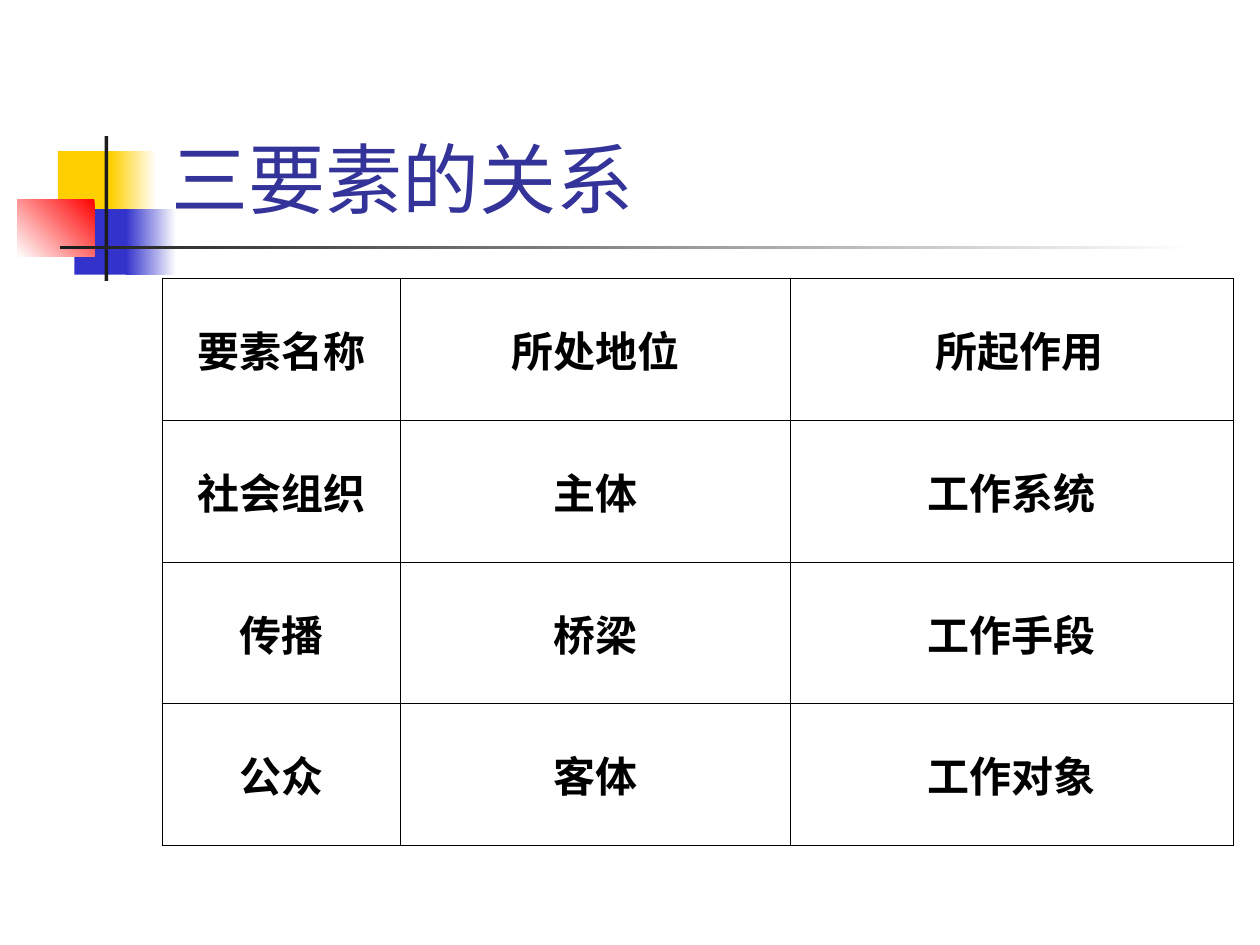
from lxml import etree
from pptx import Presentation, util as u
from pptx.dml.color import RGBColor
from pptx.enum import shapes, text
from pptx.oxml.ns import qn

TITLE = "三要素的关系"
ROWS = [
    ("要素名称", "所处地位", "所起作用"),
    ("社会组织", "主体", "工作系统"),
    ("传播", "桥梁", "工作手段"),
    ("公众", "客体", "工作对象"),
]
COLS = [1.89, 3.09, 3.52]
HIGH = 4.5
LATIN = {(0, 1), (2, 0), (2, 1 - 1)}
SHIFT = {(0, 2): 0.23}
THEME = {
    "title": {"size": u.Pt(44), "name": "Karla", "bold": False},
    "cell": {"size": u.Pt(24), "name": "Times New Roman", "bold": True},
    "ink": "333399", "text": "000000", "thin": 0.45, "thick": 1.08,
    "gold": "FFCF01", "blue": "3333CC", "red": "FF0000",
    "dark": "1C1C1C", "white": "FFFFFF",
}
DECOR = [
    ((0.46, 1.2, 0.48, 0.52), ["gold"], 0),
    ((0.88, 1.2, 0.36, 0.52), ["white", "gold"], 180),
    ((0.59, 1.66, 0.46, 0.52), ["blue"], 0),
    ((1, 1.66, 0.4, 0.52), ["white", "blue"], 180),
    ((0.14, 1.58, 0.61, 0.46), ["red", "white"], 225),
    ((0.83, 1.08, 0.03, 1.15), ["dark"], 0),
    ((0.48, 1.95, 9, 0.03), ["white", "dark"], 180),
]


def color(key):
    return RGBColor.from_string(THEME[key])


def style(font, kind, ink):
    for name, value in THEME[kind].items():
        setattr(font, name, value)
    font.color.rgb = color(ink)


def block(slide, box, tones, angle):
    rect = slide.shapes.add_shape(
        shapes.MSO_SHAPE.RECTANGLE, *map(u.Inches, box))
    rect.shadow.inherit = False
    rect.line.fill.background()
    if len(tones) == 1:
        rect.fill.solid()
        rect.fill.fore_color.rgb = color(tones[0])
        return
    rect.fill.gradient()
    rect.fill.gradient_angle = angle
    for stop, tone in zip(rect.fill.gradient_stops, tones):
        stop.color.rgb = color(tone)


def border(cell, row, col):
    outer = {"L": col == 0, "R": col == len(COLS) - 1,
             "T": row == 0, "B": row == len(ROWS) - 1}
    props = cell._tc.get_or_add_tcPr()
    for spot, (side, edge) in enumerate(outer.items()):
        width = u.Pt(THEME["thick" if edge else "thin"])
        line = etree.Element(qn("a:ln" + side), w=str(int(width)))
        fill = etree.SubElement(line, qn("a:solidFill"))
        etree.SubElement(fill, qn("a:srgbClr"), val=THEME["text"])
        props.insert(spot, line)


def grid(slide):
    frame = slide.shapes.add_table(
        len(ROWS), len(COLS), u.Inches(1.29), u.Inches(2.21),
        u.Inches(sum(COLS)), u.Inches(HIGH))
    table = frame.table
    table.first_row = table.horz_banding = False
    for col, width in zip(table.columns, COLS):
        col.width = u.Inches(width)
    for r, words in enumerate(ROWS):
        for c, word in enumerate(words):
            cell = table.cell(r, c)
            cell.text = word
            cell.fill.background()
            cell.vertical_anchor = text.MSO_ANCHOR.MIDDLE
            cell.margin_left = u.Inches(SHIFT.get((r, c), 0.1))
            para = cell.text_frame.paragraphs[0]
            para.alignment = text.PP_ALIGN.CENTER
            font = para.runs[0].font
            style(font, "cell", "text")
            if (r, c) in LATIN:
                font.name = THEME["title"]["name"]
            border(cell, r, c)


def main():
    deck = Presentation()
    deck.slide_width, deck.slide_height = u.Inches(10), u.Inches(7.5)
    slide = deck.slides.add_slide(deck.slide_layouts[5])
    for item in DECOR:
        block(slide, *item)
    title = slide.shapes.title
    place = zip(("left", "top", "width", "height"), (1.26, 0.23, 8.52, 1.6))
    for name, value in place:
        setattr(title, name, u.Inches(value))
    slide.shapes._spTree.append(title._element)
    title.text_frame.text = TITLE
    title.text_frame.vertical_anchor = text.MSO_ANCHOR.BOTTOM
    para = title.text_frame.paragraphs[0]
    para.alignment = text.PP_ALIGN.LEFT
    style(para.runs[0].font, "title", "ink")
    grid(slide)
    deck.save("out.pptx")


if __name__ == "__main__":
    main()
